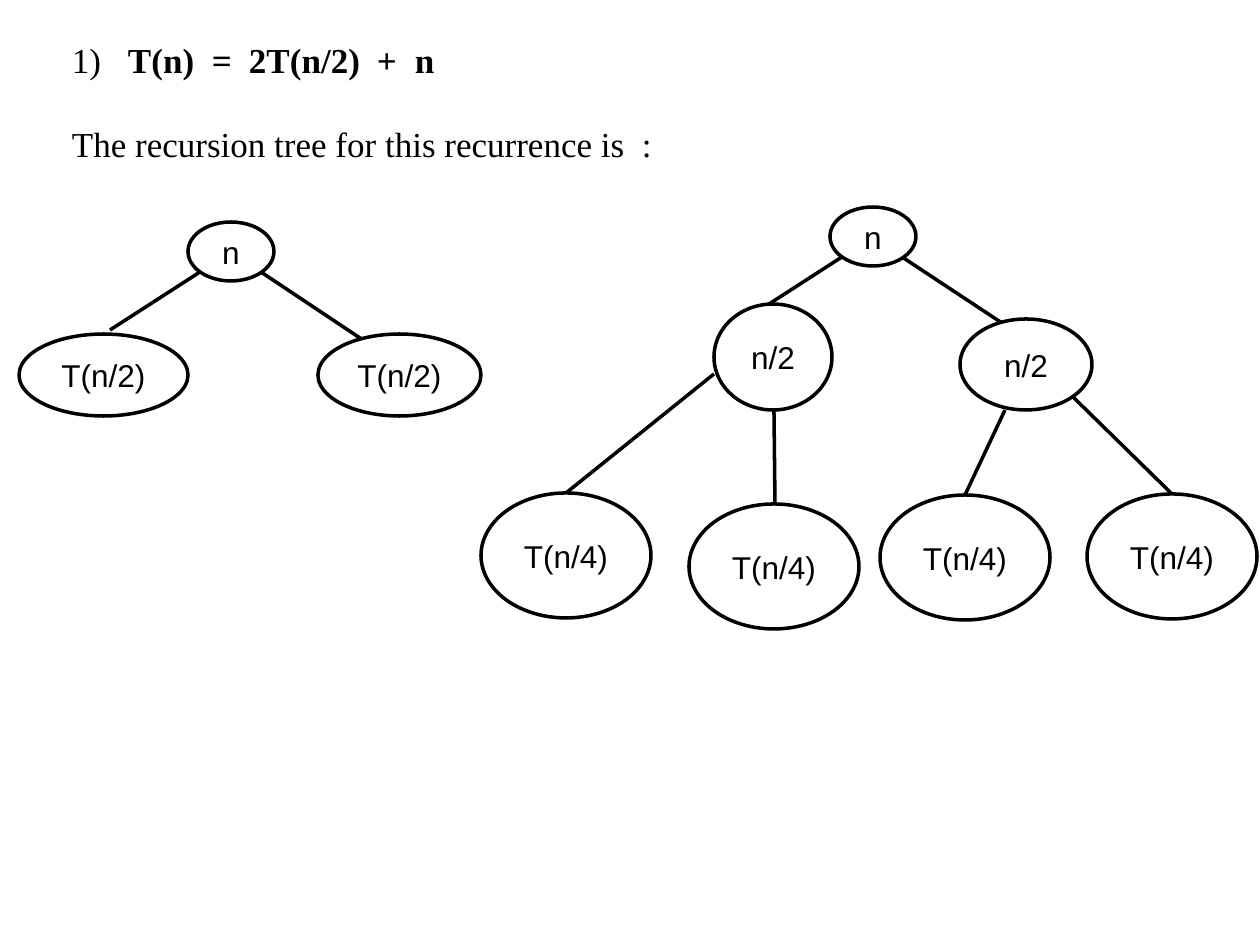
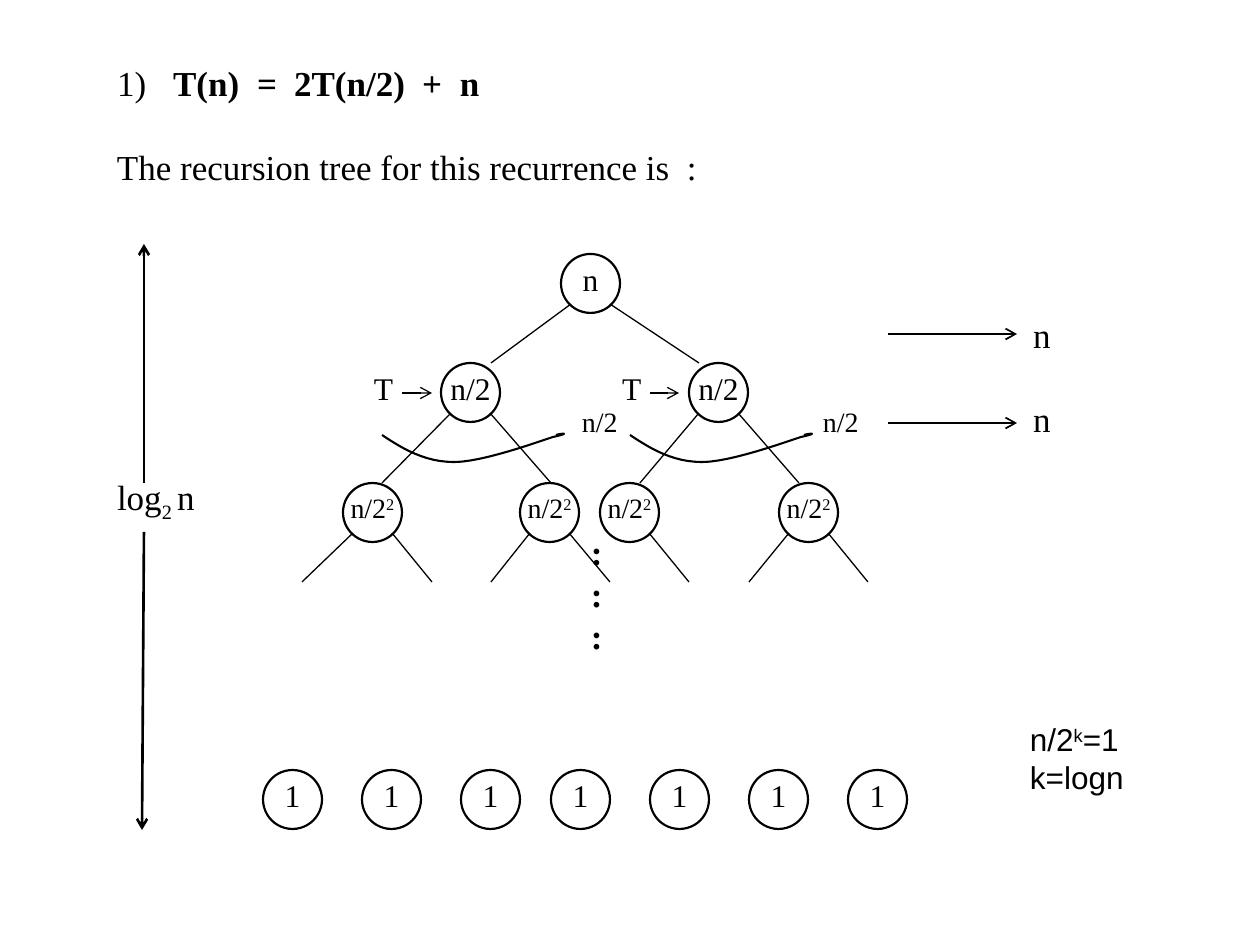
"""Build two slides that unfold the recursion tree of T(n) = 2T(n/2) + n."""
from dataclasses import dataclass

from lxml import etree
from pptx import Presentation
from pptx import util as u
from pptx.dml.color import RGBColor
from pptx.enum import shapes, text
from pptx.oxml.ns import qn


@dataclass(frozen=True)
class Theme:
    ink: RGBColor = RGBColor(0, 0, 0)
    paper: RGBColor = RGBColor(255, 255, 255)
    serif: str = "Times New Roman"
    sans: str = "Arial"
    heading: int = 20
    label: int = 18
    small: int = 16
    leading: float = 1.2
    bold_line: float = 2
    arrow_line: float = 1.5
    circle_line: float = 1.25
    thin_line: float = 0.75


THEME = Theme()
SCALE = u.Inches(1) / 126
INSET = (13, 6, 13, 6)
CIRCLE_INSET = (0, 0, 0, 10)
BASELINES = {"superscript": "30000", "subscript": "-25000"}

TITLE = [[("1)\t", ""), ("T(n)\t=\t2T(n/2)\t+\tn", "bold")]]
TITLE_TABS = (56, 140, 177, 305, 343)
STATEMENT = [[("The recursion tree for this recurrence is\t:", "")]]
STATEMENT_TABS = (570,)
HEADING_CORNERS = [(59, 32), (104, 55)]

SMALL_TREES = [
    {"edges": [(200, 272, 110, 330), (261, 272, 363, 340)],
     "nodes": [("n", 188, 222, 86, 59),
               ("T(n/2)", 19, 334, 169, 82), ("T(n/2)", 318, 334, 163, 82)]},
    {"edges": [(842, 257, 752, 315), (902, 257, 1005, 325),
               (714, 374, 566, 493), (774, 410, 775, 504),
               (1005, 410, 965, 495), (1072, 396, 1172, 494)],
     "nodes": [("n", 830, 207, 86, 59),
               ("n/2", 714, 304, 118, 106), ("n/2", 960, 319, 132, 91),
               ("T(n/4)", 481, 493, 170, 125), ("T(n/4)", 689, 504, 170, 125),
               ("T(n/4)", 880, 495, 170, 125), ("T(n/4)", 1087, 494, 170, 125)]},
]

DIAMETER = 59
LEVELS = [
    {"top": 254, "edge_end": 363, "size": THEME.label, "runs": [("n", "")],
     "nodes": [(561, 491, 699)]},
    {"top": 363, "edge_end": 483, "size": THEME.label, "runs": [("n/2", "")],
     "nodes": [(441, 382, 551), (689, 640, 799)]},
    {"top": 483, "edge_end": 582, "size": THEME.small,
     "runs": [("n/2", ""), ("2", "superscript")],
     "nodes": [(343, 302, 432), (520, 491, 610), (600, None, 689), (779, 749, 868)]},
    {"top": 770, "edge_end": None, "size": THEME.label, "runs": [("1", "")],
     "nodes": [(left, None, None) for left in (263, 362, 461, 551, 650, 749, 848)]},
]
ARROWS = [
    (402, 393, 432, 393, THEME.thin_line), (650, 393, 679, 393, THEME.thin_line),
    (888, 334, 1017, 334, 1), (888, 423, 1017, 423, 1),
    (144, 483, 144, 244, THEME.arrow_line), (144, 532, 142, 830, THEME.arrow_line),
]
COST_CURVE = [
    [(382, 435), (403, 449), (425, 462), (454, 462)],
    [(454, 462), (483, 462), (537, 442), (553, 437)],
    [(553, 437), (571, 433), (563, 433), (556, 435)],
]
CURVE_SHIFTS = (0, 248)
LABELS = [
    (361, 363, 44, THEME.label, THEME.serif, [[("T", "")]]),
    (609, 363, 44, THEME.label, THEME.serif, [[("T", "")]]),
    (569, 399, 64, THEME.small, THEME.serif, [[("n/2", "")]]),
    (810, 399, 64, THEME.small, THEME.serif, [[("n/2", "")]]),
    (1020, 307, 45, THEME.heading, THEME.serif, [[("n", "")]]),
    (1020, 391, 45, THEME.heading, THEME.serif, [[("n", "")]]),
    (104, 475, 105, THEME.heading, THEME.serif,
     [[("log", ""), ("2 ", "subscript"), ("n", "")]]),
    (578, 525, 38, THEME.heading, THEME.serif, [[(":", "bold")]] * 3),
    (1017, 714, 190, THEME.label, THEME.sans,
     [[("n/2", ""), ("k", "superscript"), ("=1", "")], [("k=logn", "")]]),
]


def px(length):
    return u.Emu(round(length * SCALE))


def write(shape, paragraphs, size, font=THEME.serif, centred=False, inset=INSET, tabs=()):
    frame = shape.text_frame
    frame.word_wrap = False
    frame.auto_size = text.MSO_AUTO_SIZE.NONE
    frame.vertical_anchor = text.MSO_ANCHOR.MIDDLE if centred else text.MSO_ANCHOR.TOP
    frame.margin_left, frame.margin_top, frame.margin_right, frame.margin_bottom = map(px, inset)
    for index, runs in enumerate(paragraphs):
        paragraph = frame.add_paragraph() if index else frame.paragraphs[0]
        paragraph.alignment = text.PP_ALIGN.CENTER if centred else text.PP_ALIGN.LEFT
        paragraph.line_spacing = u.Pt(size * THEME.leading)
        if tabs:
            stops = etree.SubElement(paragraph._p.get_or_add_pPr(), qn("a:tabLst"))
            for position in tabs:
                etree.SubElement(stops, qn("a:tab"), pos=str(px(position)), algn="l")
        for content, style in runs:
            run = paragraph.add_run()
            run.text = content
            run.font.size = u.Pt(size)
            run.font.name = font
            run.font.bold = style == "bold"
            run.font.color.rgb = THEME.ink
            if style in BASELINES:
                run._r.get_or_add_rPr().set("baseline", BASELINES[style])


def outline(shape, width):
    shape.line.color.rgb = THEME.ink
    shape.line.width = u.Pt(width)


def add_label(slide, left, top, width, size, font, paragraphs, tabs=()):
    height = round(len(paragraphs) * size * THEME.leading * 126 / 72) + 12
    box = slide.shapes.add_textbox(px(left), px(top), px(width), px(height))
    write(box, paragraphs, size, font, tabs=tabs)


def add_line(container, ends, width, arrow=False):
    line = container.add_connector(shapes.MSO_CONNECTOR.STRAIGHT, *map(px, ends))
    outline(line, width)
    properties = line._element.spPr
    if arrow:
        etree.SubElement(line.line._get_or_add_ln(), qn("a:tailEnd"), type="arrow")
    etree.SubElement(properties, qn("a:effectLst"))


def add_oval(container, bounds, width, runs, size, font, inset, filled):
    oval = container.add_shape(shapes.MSO_SHAPE.OVAL, *map(px, bounds))
    oval.shadow.inherit = False
    if filled:
        oval.fill.solid()
        oval.fill.fore_color.rgb = THEME.paper
    else:
        oval.fill.background()
    outline(oval, width)
    write(oval, [runs], size, font, centred=True, inset=inset)


def bezier(points, t):
    weights = ((1 - t) ** 3, 3 * t * (1 - t) ** 2, 3 * t * t * (1 - t), t ** 3)
    return tuple(sum(w * p[axis] for w, p in zip(weights, points)) for axis in (0, 1))


def add_cost_curve(slide, shift, steps=12):
    points = [bezier(segment, step / steps)
              for segment in COST_CURVE for step in range(steps + 1)]
    points = [(px(x + shift), px(y)) for x, y in points]
    builder = slide.shapes.build_freeform(*points[0])
    builder.add_line_segments(points[1:], close=False)
    curve = builder.convert_to_shape()
    curve.shadow.inherit = False
    curve.fill.background()
    outline(curve, 1.19)


def add_slide(presentation, left, top):
    slide = presentation.slides.add_slide(presentation.slide_layouts[5])
    title = slide.shapes.title
    title.left, title.top, title.width, title.height = map(px, (left, top, 1121, 54))
    write(title, TITLE, THEME.heading, tabs=TITLE_TABS)
    add_label(slide, left, top + 84, 1121, THEME.heading, THEME.serif, STATEMENT, STATEMENT_TABS)
    return slide


def draw_small_trees(slide):
    for tree in SMALL_TREES:
        group = slide.shapes.add_group_shape().shapes
        for ends in tree["edges"]:
            add_line(group, ends, THEME.bold_line)
        for name, *bounds in tree["nodes"]:
            add_oval(group, bounds, THEME.bold_line, [(name, "")],
                     THEME.label, THEME.sans, (0, 0, 0, 0), filled=True)


def draw_full_tree(slide):
    for level in LEVELS:
        top = level["top"]
        for left, left_end, right_end in level["nodes"]:
            for offset, end in ((10, left_end), (49, right_end)):
                if end is not None:
                    add_line(slide.shapes, (left + offset, top + 50, end, level["edge_end"]),
                             THEME.thin_line)
            add_oval(slide.shapes, (left, top, DIAMETER, DIAMETER), THEME.circle_line,
                     level["runs"], level["size"], THEME.serif, CIRCLE_INSET, filled=False)
    for *ends, width in ARROWS:
        add_line(slide.shapes, ends, width, arrow=True)
    for shift in CURVE_SHIFTS:
        add_cost_curve(slide, shift)
    for label in LABELS:
        add_label(slide, *label)


def main():
    presentation = Presentation()
    presentation.slide_width, presentation.slide_height = u.Inches(10), u.Inches(7.5)
    for corner, draw in zip(HEADING_CORNERS, (draw_small_trees, draw_full_tree)):
        draw(add_slide(presentation, *corner))
    presentation.save("out.pptx")


if __name__ == "__main__":
    main()
